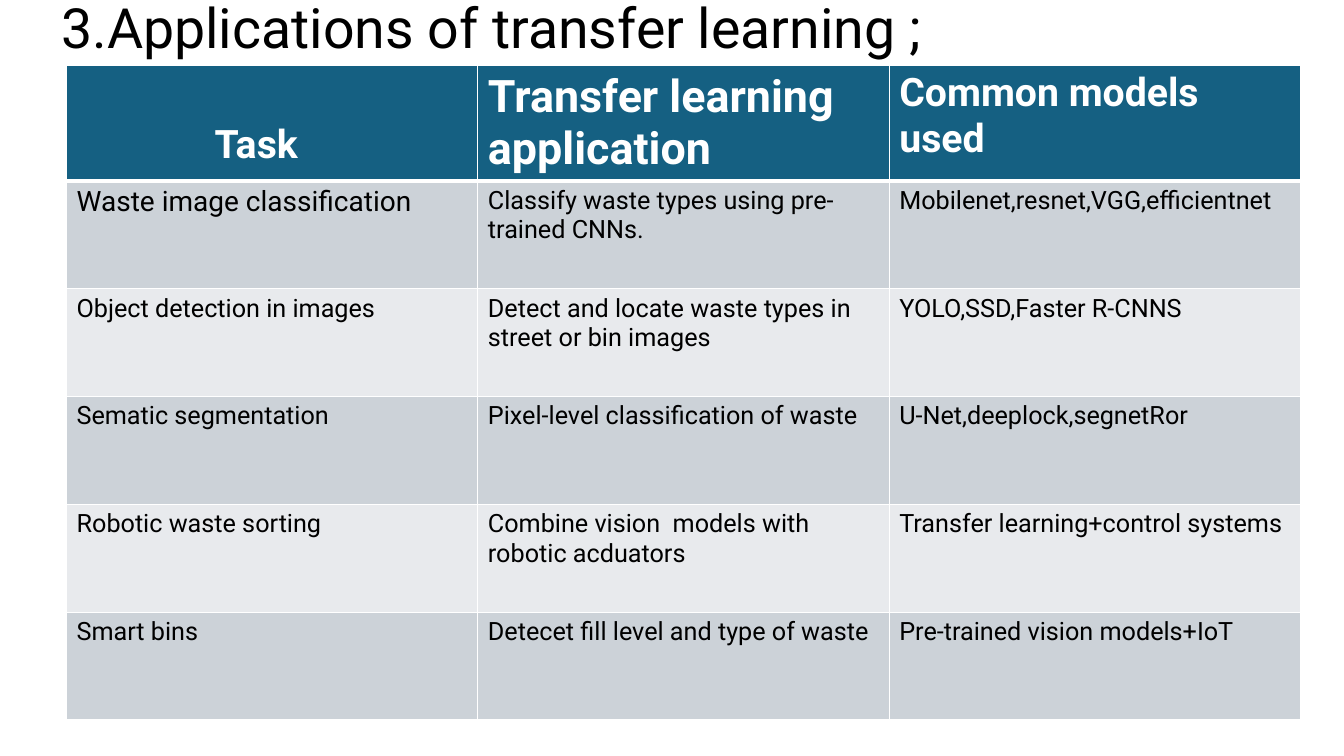
import pptx
import pptx.dml.color
import pptx.enum.text
import pptx.oxml
import pptx.oxml.ns
import pptx.util
from pptx.util import Inches

# Content
TITLE = "3.Applications of transfer learning ;"
HEADERS = ["Task", "Transfer learning\napplication", "Common models used"]
TASKS = [
    ("Waste image classification", "Classify waste types using pre-trained CNNs.",
     "Mobilenet,resnet,VGG,efficientnet"),
    ("Object detection in images", "Detect and locate waste types in street or bin images",
     "YOLO,SSD,Faster R-CNNS"),
    ("Sematic segmentation", "Pixel-level classification of waste",
     "U-Net,deeplock,segnetRor"),
    ("Robotic waste sorting", "Combine vision  models with robotic acduators",
     "Transfer learning+control systems"),
    ("Smart bins", "Detecet fill level and type of waste",
     "Pre-trained vision models+IoT"),
]

# Format
COLORS = {"header": "156082", "dark_band": "CCD2D8", "light_band": "E8EAED",
          "white": "FFFFFF", "black": "000000"}
FONT = "Roboto"
HEADER_SIZES = [28, 32, 28]
FIRST_TASK_SIZE, BODY_SIZE = 20, 18
COLUMN_WIDTH, HEADER_HEIGHT, ROW_HEIGHT = 4.08, 1.13, 1.07


def write_text(text_frame, text, size, color="black", bold=False, line_spacing=None):
    text_frame.word_wrap = True
    for index, line in enumerate(text.split("\n")):
        paragraph = text_frame.paragraphs[0] if index == 0 else text_frame.add_paragraph()
        paragraph.line_spacing = line_spacing
        run = paragraph.add_run()
        run.text = line
        run.font.name = FONT
        run.font.size = pptx.util.Pt(size)
        run.font.bold = bold
        run.font.color.rgb = pptx.dml.color.RGBColor.from_string(COLORS[color])


def set_borders(cell, widths):
    properties = cell._tc.get_or_add_tcPr()
    for index, (side, points) in enumerate(widths.items()):
        properties.insert(index, pptx.oxml.parse_xml(
            f'<a:ln{side} {pptx.oxml.ns.nsdecls("a")} w="{pptx.util.Pt(points)}">'
            f'<a:solidFill><a:srgbClr val="{COLORS["white"]}"/></a:solidFill></a:ln{side}>'))


presentation = pptx.Presentation()
presentation.slide_width = Inches(13.33)
presentation.slide_height = Inches(7.5)
slide = presentation.slides.add_slide(presentation.slide_layouts[6])

# Table
rows = [HEADERS] + TASKS
table_height = HEADER_HEIGHT + ROW_HEIGHT * len(TASKS)
table = slide.shapes.add_table(
    len(rows), len(HEADERS), Inches(0.66), Inches(0.65),
    Inches(COLUMN_WIDTH * len(HEADERS)), Inches(table_height)).table
for column in table.columns:
    column.width = Inches(COLUMN_WIDTH)

for row_index, texts in enumerate(rows):
    is_header = row_index == 0
    table.rows[row_index].height = Inches(HEADER_HEIGHT if is_header else ROW_HEIGHT)
    band = "header" if is_header else "dark_band" if row_index % 2 else "light_band"
    for column_index, text in enumerate(texts):
        cell = table.cell(row_index, column_index)
        cell.fill.solid()
        cell.fill.fore_color.rgb = pptx.dml.color.RGBColor.from_string(COLORS[band])
        set_borders(cell, {"L": 1, "R": 1, "T": 3 if row_index == 1 else 1,
                           "B": 3 if is_header else 1})
        if is_header:
            write_text(cell.text_frame, text, HEADER_SIZES[column_index],
                       color="white", bold=True)
        else:
            size = FIRST_TASK_SIZE if (row_index, column_index) == (1, 0) else BODY_SIZE
            write_text(cell.text_frame, text, size)

# The first heading sits low and indented
task_heading = table.cell(0, 0)
task_heading.vertical_anchor = pptx.enum.text.MSO_ANCHOR.BOTTOM
task_heading.margin_left = Inches(1.47)
task_heading.margin_bottom = Inches(0.13)

# Title
title = slide.shapes.add_textbox(Inches(0.51), Inches(0.05), Inches(11.79), Inches(0.5))
title.text_frame.vertical_anchor = pptx.enum.text.MSO_ANCHOR.MIDDLE
write_text(title.text_frame, TITLE, 39.6, line_spacing=0.9)

presentation.save("out.pptx")
